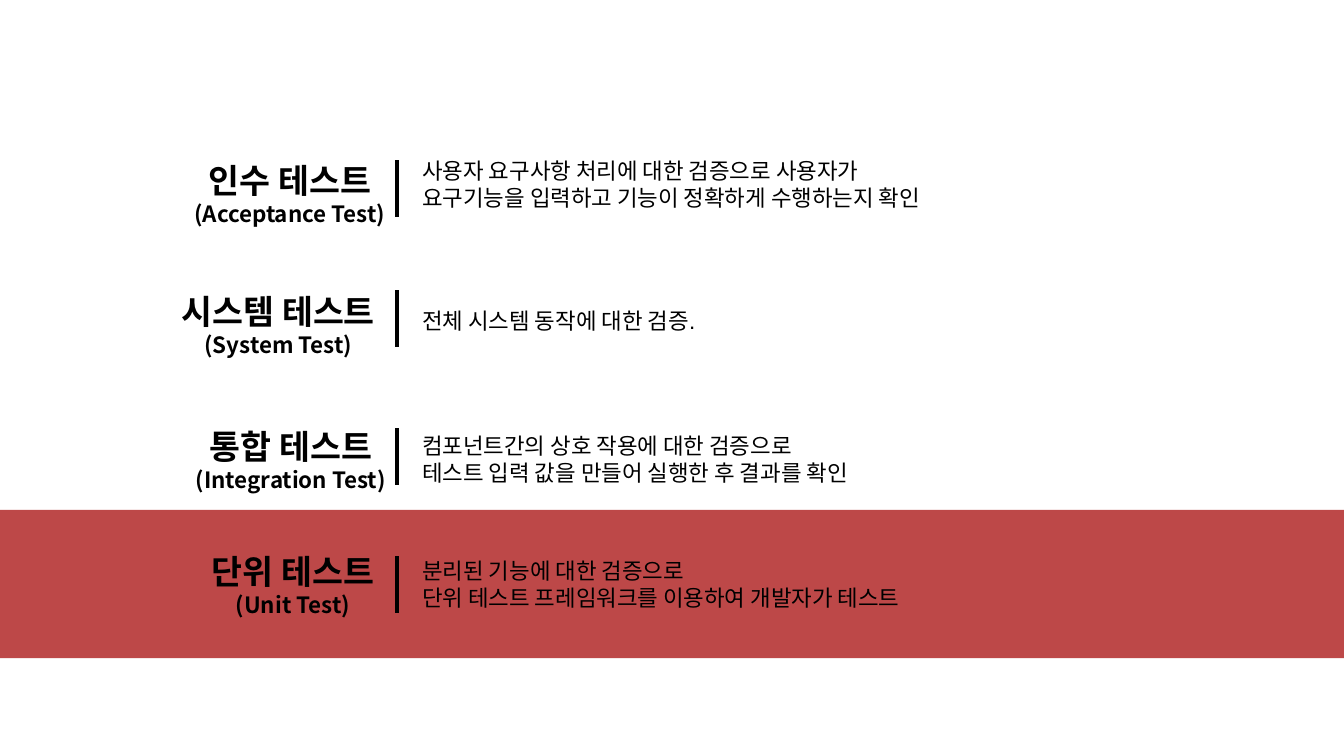
from pptx import Presentation
from pptx.dml.color import RGBColor
from pptx.enum import shapes, text
from pptx.oxml.ns import qn
from pptx.util import Inches, Pt

COLORS = {"band": "AD1B1B", "ink": "000000"}
HEADING_FONT, BODY_FONT = "Noto Sans CJK KR", "Arial"
DIVIDER_X, DIVIDER_HEIGHT = 3.94, 0.56
BODY_X = 4.09

# heading, English name, heading left, width and top, divider top, body top and width, body lines
LEVELS = [
    ("인수 테스트", "(Acceptance Test)", 1.79, 2.17, 1.54, 1.59, 1.51, 6.54,
     ["사용자 요구사항 처리에 대한 검증으로 사용자가",
      "요구기능을 입력하고 기능이 정확하게 수행하는지 확인"]),
    ("시스템 테스트", "(System Test)", 1.55, 2.42, 2.84, 2.88, 3.0, 5.16,
     ["전체 시스템 동작에 대한 검증."]),
    ("통합 테스트", "(Integration Test)", 1.81, 2.15, 4.18, 4.25, 4.24, 5.16,
     ["컴포넌트간의 상호 작용에 대한 검증으로",
      "테스트 입력 값을 만들어 실행한 후 결과를 확인"]),
    ("단위 테스트", "(Unit Test)", 1.85, 2.11, 5.42, 5.52, 5.48, 6.67,
     ["분리된 기능에 대한 검증으로",
      "단위 테스트 프레임워크를 이용하여 개발자가 테스트"]),
]

presentation = Presentation()
presentation.slide_width, presentation.slide_height = Inches(13.33), Inches(7.5)
slide = presentation.slides.add_slide(presentation.slide_layouts[6])


def add_lines(left, top, width, height, lines, font_name, bold, alignment):
    """Add a text box with one paragraph for each (wording, size) pair."""
    box = slide.shapes.add_textbox(*map(Inches, (left, top, width, height)))
    frame = box.text_frame
    frame.word_wrap = True
    frame.auto_size = text.MSO_AUTO_SIZE.SHAPE_TO_FIT_TEXT
    for index, (wording, size) in enumerate(lines):
        paragraph = frame.add_paragraph() if index else frame.paragraphs[0]
        paragraph.alignment = alignment
        run = paragraph.add_run()
        run.text = wording
        for name, value in {"name": font_name, "size": Pt(size), "bold": bold}.items():
            setattr(run.font, name, value)
        run.font.color.rgb = RGBColor.from_string(COLORS["ink"])
        east_asian = run.font._element.makeelement(qn("a:ea"), {"typeface": HEADING_FONT})
        run.font._element.append(east_asian)


band = slide.shapes.add_shape(
    shapes.MSO_SHAPE.RECTANGLE, 0, Inches(5.06), presentation.slide_width, Inches(1.47))
band.shadow.inherit = False
band.fill.solid()
band.fill.fore_color.rgb = RGBColor.from_string(COLORS["band"])
band.line.fill.background()
band_color = band.fill._xPr.find(qn("a:solidFill"))[0]
band_color.append(band_color.makeelement(qn("a:alpha"), {"val": "80000"}))

for (heading, english, heading_x, heading_width, heading_y,
     divider_y, body_y, body_width, body) in LEVELS:
    add_lines(heading_x, heading_y, heading_width, 0.77, [(heading, 24), (english, 16)],
              HEADING_FONT, True, text.PP_ALIGN.CENTER)

    divider = slide.shapes.add_connector(
        shapes.MSO_CONNECTOR.STRAIGHT, Inches(DIVIDER_X), Inches(divider_y + DIVIDER_HEIGHT),
        Inches(DIVIDER_X), Inches(divider_y))
    divider.line.width = Pt(3)
    divider.line.color.rgb = RGBColor.from_string(COLORS["ink"])
    properties = divider._element.spPr
    properties.append(properties.makeelement(qn("a:effectLst"), {}))

    add_lines(BODY_X, body_y, body_width, 0.1 + 0.27 * len(body), [(line, 16) for line in body],
              BODY_FONT, False, text.PP_ALIGN.LEFT)

presentation.save("out.pptx")
